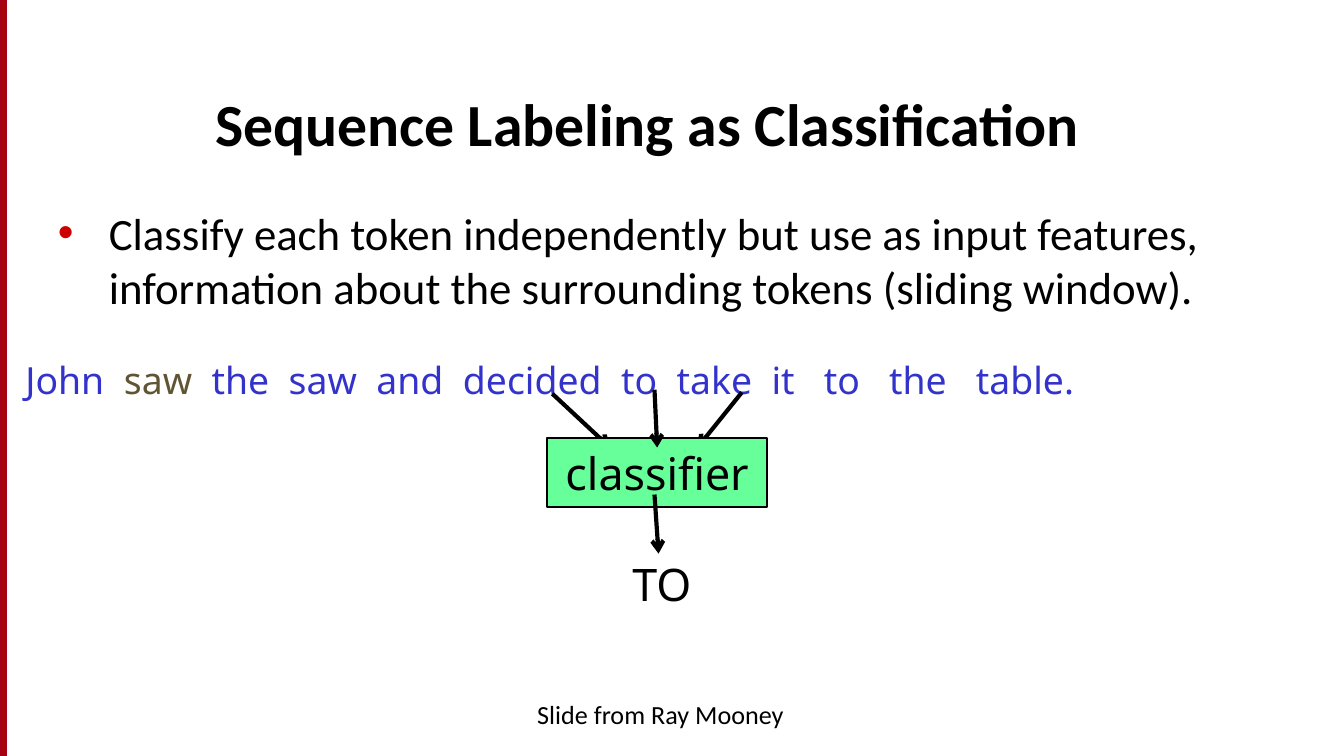
from pptx import Presentation
from pptx.dml.color import RGBColor
from pptx.enum.shapes import MSO_CONNECTOR as Connector, MSO_SHAPE as Shape
from pptx.enum.text import MSO_ANCHOR as Anchor, MSO_AUTO_SIZE as AutoSize, PP_ALIGN as Align
from pptx.oxml.ns import qn
from pptx.util import Inches, Pt
from lxml.etree import SubElement

COLORS = {"black": "000000", "bar": "A40508", "edge": "A4001D", "bullet": "CC0000",
          "token": "3333CC", "tagged": "605435", "box": "66FF99"}
TITLE = "Sequence Labeling as Classification"
BODY = ("Classify each token independently but use as input features, "
        "information about the surrounding tokens (sliding window).")
SENTENCE = [("John  ", "token"), ("saw ", "tagged"),
            (" the  saw  and  decided  to  take  it   to   the   table.", "token")]
CREDIT = "Slide from Ray Mooney"
SIDE_ARROWS = [((4.11, 2.93), (4.54, 3.33)), ((5.52, 2.92), (5.19, 3.33))]
CENTER_ARROWS = [((4.87, 2.9), (4.89, 3.33)), ((4.87, 3.68), (4.9, 4.12))]
PAGE_WIDTH = 10
PAGE_HEIGHT = PAGE_WIDTH * 9 / 16


def color(name):
    return RGBColor.from_string(COLORS[name])


def place(shape, left, top, width, height):
    shape.left, shape.top = Inches(left), Inches(top)
    shape.width, shape.height = Inches(width), Inches(height)


def write(shape, spans, size, font, align=Align.LEFT, anchor=Anchor.TOP, wrap=True, bold=False):
    frame = shape.text_frame
    frame.auto_size = AutoSize.NONE if wrap else AutoSize.SHAPE_TO_FIT_TEXT
    frame.word_wrap = wrap
    frame.vertical_anchor = anchor
    para = frame.paragraphs[0]
    para.alignment = align
    para.space_before = Pt(0)
    for text, name in spans:
        span = para.add_run()
        span.text = text
        span.font.size, span.font.name, span.font.bold = Pt(size), font, bold
        span.font.color.rgb = color(name)
    return para


def add_box(page, area, fill, line, width):
    box = page.shapes.add_shape(Shape.RECTANGLE, *map(Inches, area))
    box.shadow.inherit = False
    box.fill.solid()
    box.fill.fore_color.rgb = color(fill)
    box.line.color.rgb = color(line)
    box.line.width = Pt(width)
    return box


def add_label(page, area, *args, **options):
    write(page.shapes.add_textbox(*map(Inches, area)), *args, **options)


def add_arrows(page, arrows):
    for start, end in arrows:
        arrow = page.shapes.add_connector(Connector.STRAIGHT, *map(Inches, start + end))
        arrow.line.color.rgb = color("black")
        arrow.line.width = Pt(2.25)
        SubElement(arrow.line._get_or_add_ln(), qn("a:tailEnd"), type="arrow")
        SubElement(arrow._element.spPr, qn("a:effectLst"))


def add_bullet(para):
    props = para._p.get_or_add_pPr()
    props.set("marL", str(Inches(0.38)))
    props.set("indent", str(Inches(-0.38)))
    SubElement(SubElement(props, qn("a:buClr")), qn("a:srgbClr"), val=COLORS["bullet"])
    SubElement(props, qn("a:buFont"), typeface="Arial")
    SubElement(props, qn("a:buChar"), char="•")


def main():
    """Build the sequence labeling slide."""
    deck = Presentation()
    deck.slide_width, deck.slide_height = Inches(PAGE_WIDTH), Inches(PAGE_HEIGHT)
    page = deck.slides.add_slide(deck.slide_layouts[1])
    title, body = page.placeholders

    place(title, 1.5, 0.42, 8.17, 0.81)
    write(title, [(TITLE, "black")], 32, "Calibri", anchor=Anchor.BOTTOM, bold=True)
    place(body, 0.33, 1.48, 9.33, 3.65)
    add_bullet(write(body, [(BODY, "black")], 24, "Calibri"))

    add_box(page, (0, 0, 0.05, PAGE_HEIGHT), "bar", "edge", 0.75)
    add_label(page, (3.33, 5.15, 3.17, 0.38), [(CREDIT, "black")], 14, "Calibri", Align.CENTER)
    add_label(page, (0.09, 2.61, 8.61, 0.44), SENTENCE, 20, "Noto Sans", wrap=False)
    add_arrows(page, SIDE_ARROWS)
    classifier = add_box(page, (4.07, 3.26, 1.64, 0.51), "box", "black", 1)
    write(classifier, [("classifier", "black")], 24, "Noto Sans", Align.CENTER, Anchor.MIDDLE, False)
    add_arrows(page, CENTER_ARROWS)
    add_label(page, (4.59, 4.09, 0.67, 0.51), [("TO", "black")], 24, "Noto Sans", Align.CENTER, wrap=False)
    deck.save("out.pptx")


if __name__ == "__main__":
    main()
